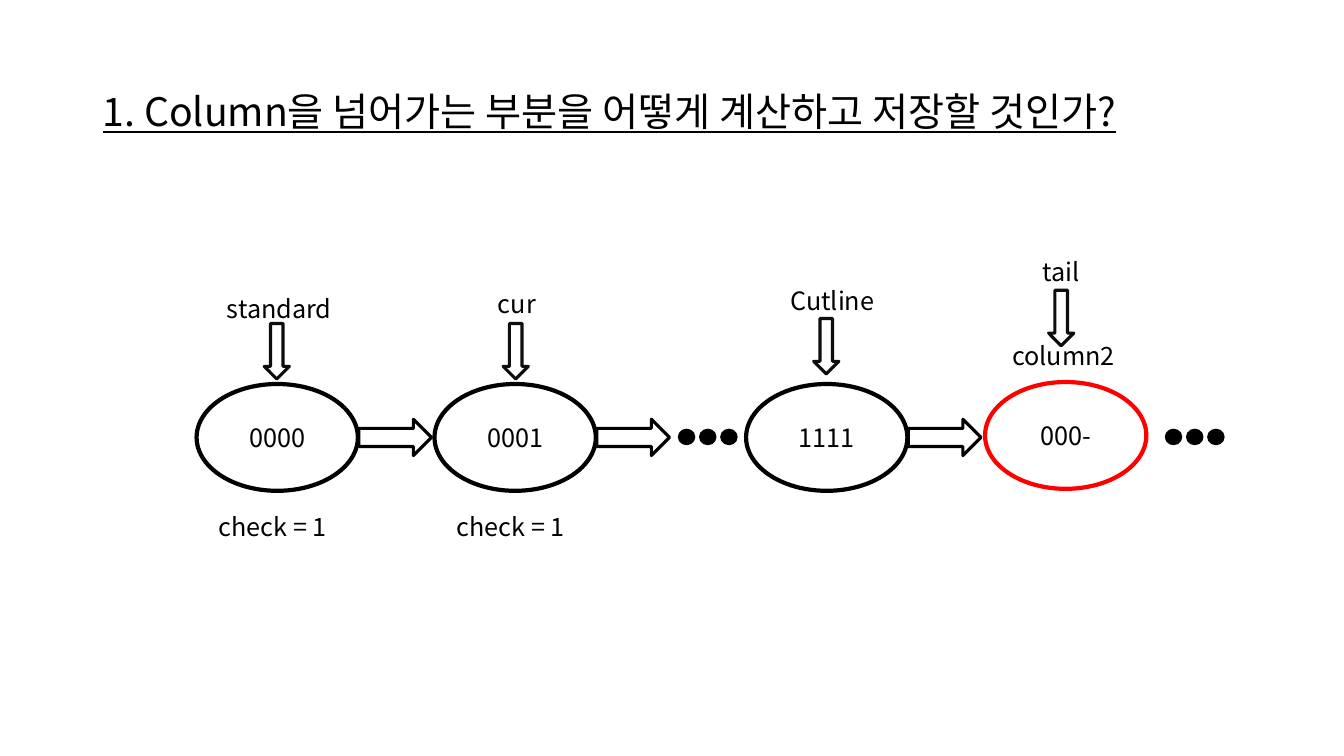
from dataclasses import dataclass

from lxml import etree
from pptx import Presentation
from pptx.dml.color import RGBColor
from pptx.enum.shapes import MSO_SHAPE as Shp
from pptx.enum.text import MSO_ANCHOR as Anchor, MSO_AUTO_SIZE as Fit, PP_ALIGN as Align
from pptx.oxml.ns import qn
from pptx.util import Inches, Pt


@dataclass(frozen=True)
class Theme:
    font: str = "Noto Sans CJK KR"
    title: int = 28
    body: int = 18
    black: RGBColor = RGBColor(0, 0, 0)
    dark: RGBColor = RGBColor(0x0D, 0x0D, 0x0D)
    white: RGBColor = RGBColor(255, 255, 255)
    red: RGBColor = RGBColor(255, 0, 0)


@dataclass(frozen=True)
class Node:
    text: str
    left: float
    top: float
    color: RGBColor


@dataclass(frozen=True)
class Label:
    text: str
    left: float
    top: float
    width: float
    align: Align = Align.LEFT


T = Theme()
NODE_W, NODE_H = 1.6, 1.06
ROW_TOP = 3.81
DOT_PITCH = 0.21

NODES = [
    Node("0000", 1.95, ROW_TOP, T.black),
    Node("0001", 4.31, ROW_TOP, T.black),
    Node("1111", 7.4, ROW_TOP, T.black),
    Node("000-", 9.77, 3.79, T.red),
]
LABELS = [
    Label("standard", 1.86, 2.86, 1.82, Align.CENTER),
    Label("cur", 4.84, 2.81, 0.89),
    Label("Cutline", 7.74, 2.78, 1.49),
    Label("tail", 9.78, 2.49, 1.49, Align.CENTER),
    Label("column2", 9.94, 3.33, 1.26),
    Label("check = 1", 2.07, 5.02, 1.37),
    Label("check = 1", 4.43, 5.02, 1.37),
]
POINTERS = [(2.62, 3.21), (4.99, 3.21), (8.07, 3.16), (10.4, 2.88)]
ELLIPSES = [6.73, 11.56]


def write(tf, text: str, size: int, align: Align, underline: bool = False) -> None:
    tf.text = text
    p = tf.paragraphs[0]
    p.alignment = align
    for r in p.runs:
        r.font.name = T.font
        r.font.size = Pt(size)
        r.font.color.rgb = T.black
        if underline:
            r.font.underline = True
        # Hangul takes its typeface from the East Asian slot
        etree.SubElement(r.font._element, qn("a:ea")).set("typeface", T.font)


def add_shape(kind: Shp, left: float, top: float, width: float, height: float,
              fill: RGBColor, line: RGBColor, weight: float):
    sp = slide.shapes.add_shape(kind, Inches(left), Inches(top), Inches(width), Inches(height))
    sp.shadow.inherit = False
    sp.fill.solid()
    sp.fill.fore_color.rgb = fill
    sp.line.color.rgb = line
    sp.line.width = Pt(weight)
    return sp


def add_node(node: Node) -> None:
    sp = add_shape(Shp.OVAL, node.left, node.top, NODE_W, NODE_H, T.white, node.color, 3)
    sp.text_frame.vertical_anchor = Anchor.MIDDLE
    write(sp.text_frame, node.text, T.body, Align.CENTER)


def add_label(label: Label) -> None:
    box = slide.shapes.add_textbox(Inches(label.left), Inches(label.top),
                                   Inches(label.width), Inches(0.4))
    tf = box.text_frame
    tf.word_wrap = True
    tf.auto_size = Fit.SHAPE_TO_FIT_TEXT
    write(tf, label.text, T.body, label.align)


prs = Presentation()
prs.slide_width, prs.slide_height = Inches(13.33), Inches(7.5)
slide = prs.slides.add_slide(prs.slide_layouts[5])

# Title
title = slide.shapes.title
title.left, title.top = Inches(0.92), Inches(0.4)
title.width, title.height = Inches(11.5), Inches(1.45)
title.text_frame.vertical_anchor = Anchor.MIDDLE
title.text_frame.auto_size = Fit.NONE
write(title.text_frame, "1. Column을 넘어가는 부분을 어떻게 계산하고 저장할 것인가?",
      T.title, Align.LEFT, underline=True)
title.text_frame.paragraphs[0].line_spacing = 0.9

# Linked nodes, each but the last followed by an arrow
for node in NODES:
    add_node(node)
for node in NODES[:-1]:
    add_shape(Shp.RIGHT_ARROW, node.left + NODE_W + 0.01, 4.16, 0.72, 0.36,
              T.white, T.black, 2.25)

# Continuation dots
for start in ELLIPSES:
    for i in range(3):
        add_shape(Shp.OVAL, start + i * DOT_PITCH, 4.26, 0.16, 0.15, T.black, T.black, 1)

# Pointers and their labels
for left, top in POINTERS:
    add_shape(Shp.DOWN_ARROW, left, top, 0.25, 0.55, T.white, T.dark, 2.25)
for label in LABELS:
    add_label(label)

prs.save("out.pptx")
